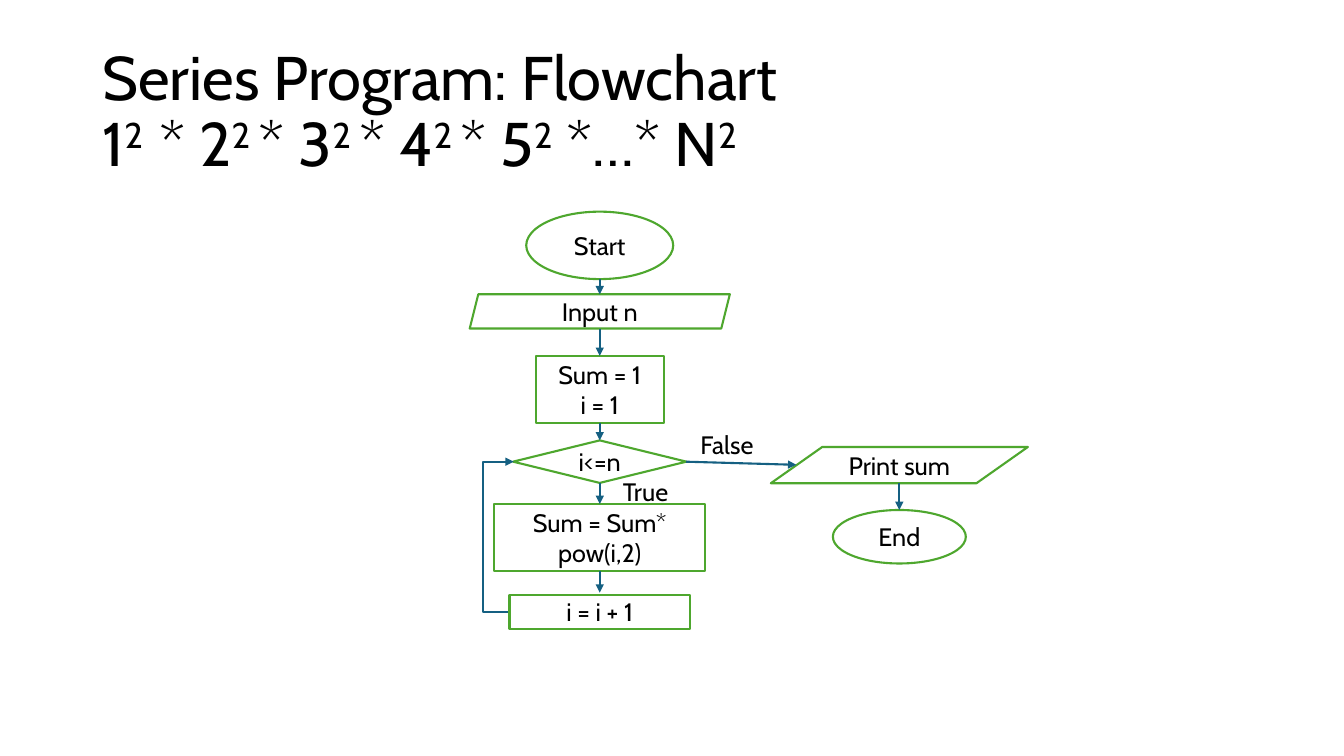
"""Build the flowchart slide for a product of squares."""
from lxml import etree
from pptx import Presentation
from pptx.dml.color import RGBColor
from pptx.enum import shapes, text
from pptx.oxml import ns
from pptx.util import Pt

COLOURS = {"text": "000000", "fill": "FFFFFF", "outline": "4EA72E", "arrow": "156082"}
FONT = "Cabin"
MAIN, SIDE = 428.4, 642.4


def colour(name):
    return RGBColor.from_string(COLOURS[name])


def format_font(font, size):
    for name, value in {"name": FONT, "size": Pt(size)}.items():
        setattr(font, name, value)
    font.color.rgb = colour("text")


presentation = Presentation()
presentation.slide_width, presentation.slide_height = Pt(960), Pt(540)
slide = presentation.slides.add_slide(presentation.slide_layouts[5])

title = slide.shapes.title
title_box = {"left": 66, "top": 28.8, "width": 828, "height": 104.4}
for name, value in title_box.items():
    setattr(title, name, Pt(value))
frame = title.text_frame
frame_format = {"auto_size": text.MSO_AUTO_SIZE.NONE, "word_wrap": True,
                "vertical_anchor": text.MSO_ANCHOR.MIDDLE}
for name, value in frame_format.items():
    setattr(frame, name, value)
paragraph = frame.paragraphs[0]
paragraph.alignment = text.PP_ALIGN.LEFT
paragraph.line_spacing = 0.9
format_font(paragraph.font, 44)
title_runs = ["Series Program: Flowchart", "1", "2  ", "* 2", "2 ", "* 3", "2 ",
              "* 4", "2 ", "* 5", "2", " *…* N", "2"]
for index, words in enumerate(title_runs):
    run = paragraph.add_run()
    run.text = words
    format_font(run.font, 44)
    if index == 0:
        paragraph.add_line_break()
    elif index % 2 == 0:
        run.font._element.set("baseline", "30000")

kinds = shapes.MSO_SHAPE
steps = [
    (kinds.OVAL, "Start", MAIN, 151.2, 105, 48.2),
    (kinds.PARALLELOGRAM, "Input n", MAIN, 210.2, 185.8, 24.5),
    (kinds.RECTANGLE, "Sum = 1\ni = 1", MAIN, 254.2, 91.4, 48.2),
    (kinds.DIAMOND, "i<=n", MAIN, 314.6, 123.8, 30.4),
    (kinds.RECTANGLE, "Sum = Sum* pow(i,2)", MAIN, 360, 150.5, 48.2),
    (kinds.RECTANGLE, "i = i + 1", MAIN, 424.8, 128.9, 24.5),
    (kinds.FLOWCHART_DATA, "Print sum", SIDE, 319.3, 183.6, 25.9),
    (kinds.OVAL, "End", SIDE, 364.3, 95, 38.2),
]
for kind, words, centre, top, width, height in steps:
    box = (centre - width / 2, top, width, height)
    shape = slide.shapes.add_shape(kind, *map(Pt, box))
    shape.shadow.inherit = False
    shape.fill.solid()
    shape.fill.fore_color.rgb = colour("fill")
    shape.line.color.rgb = colour("outline")
    shape.line.width = Pt(1.5)
    frame = shape.text_frame
    frame.word_wrap = True
    frame.vertical_anchor = text.MSO_ANCHOR.MIDDLE
    frame.text = words
    for paragraph in frame.paragraphs:
        paragraph.alignment = text.PP_ALIGN.CENTER
        format_font(paragraph.runs[0].font, 18)

branches = [("True", 437.8, 337, 48.2), ("False", 493.2, 303.1, 56.9)]
for words, left, top, width in branches:
    label = slide.shapes.add_textbox(*map(Pt, (left, top, width, 29.1)))
    label.text_frame.word_wrap = False
    label.text_frame.text = words
    format_font(label.text_frame.paragraphs[0].runs[0].font, 18)

straight, elbow = shapes.MSO_CONNECTOR.STRAIGHT, shapes.MSO_CONNECTOR.ELBOW
arrows = [
    (straight, MAIN, 199.4, MAIN, 210.2),
    (straight, MAIN, 234.7, MAIN, 254.2),
    (straight, MAIN, 302.4, MAIN, 314.6),
    (straight, MAIN, 345, MAIN, 360),
    (straight, MAIN, 408.2, MAIN, 423.4),
    (straight, 490, 329.8, 568.8, 332),
    (straight, SIDE, 345.2, SIDE, 364.3),
    (elbow, 363, 437, 367, 329.8),
]
for kind, *ends in arrows:
    arrow = slide.shapes.add_connector(kind, *map(Pt, ends))
    arrow.line.color.rgb = colour("arrow")
    arrow.line.width = Pt(1.5)
    properties = arrow._element.spPr
    etree.SubElement(arrow.line._get_or_add_ln(), ns.qn("a:tailEnd"), type="triangle")
    etree.SubElement(properties, ns.qn("a:effectLst"))
    if kind == elbow:
        adjustments = properties.find(ns.qn("a:prstGeom")).get_or_add_avLst()
        etree.SubElement(adjustments, ns.qn("a:gd"), name="adj1", fmla="val -450000")

presentation.save("out.pptx")
